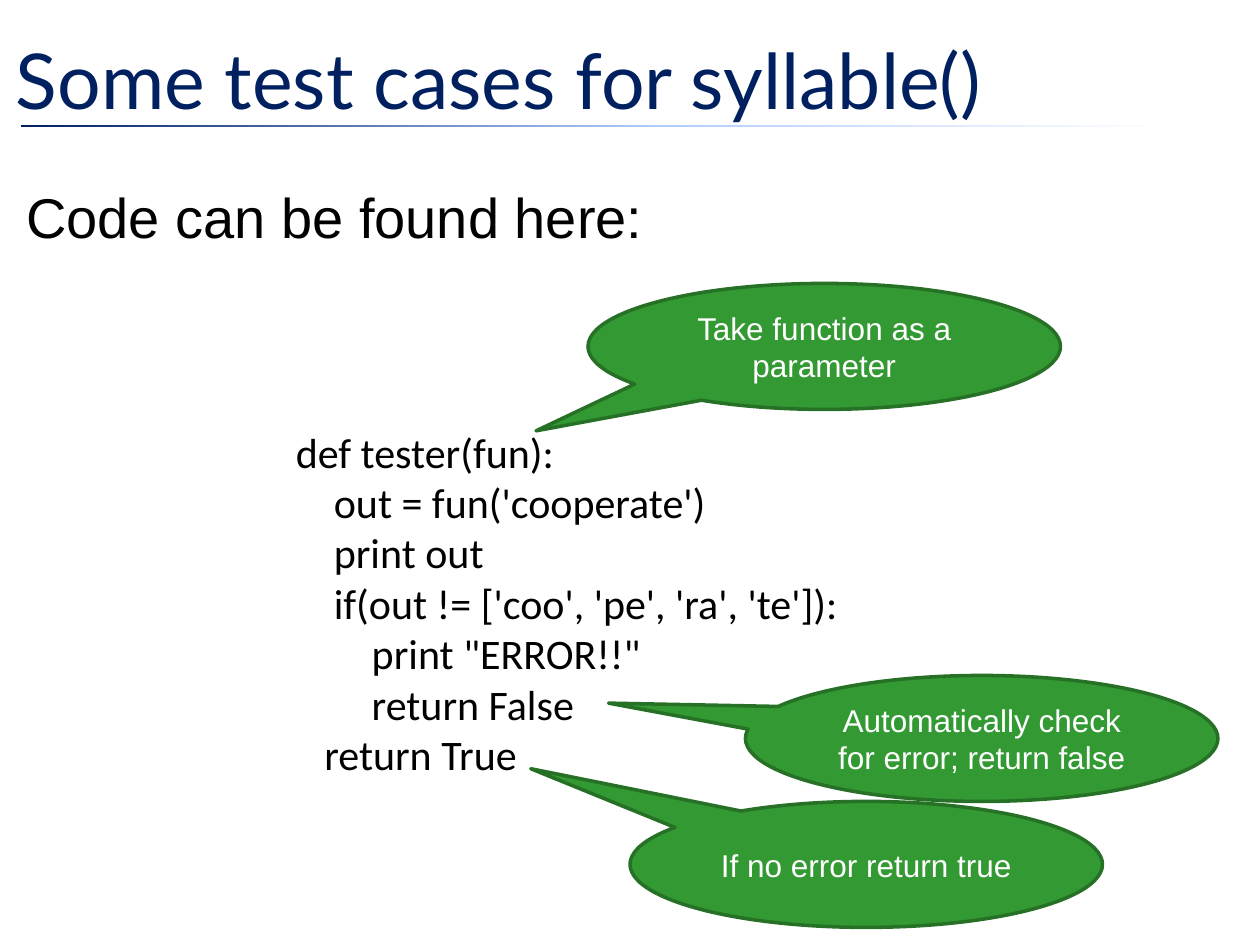
from copy import deepcopy
from dataclasses import dataclass

from pptx import Presentation
from pptx.dml.color import RGBColor as RGB
from pptx.enum.shapes import MSO_SHAPE as Form
from pptx.enum.text import MSO_ANCHOR as Anchor, PP_ALIGN as Align
from pptx.oxml.ns import qn
from pptx.util import Pt

NAVY = RGB(0x00, 0x20, 0x60)
SKY = RGB(0xB4, 0xCD, 0xFF)
WHITE = RGB(0xFF, 0xFF, 0xFF)
BLACK = RGB(0x00, 0x00, 0x00)
GREEN = RGB(0x33, 0x99, 0x33)
DARK = RGB(0x26, 0x71, 0x26)

SPACE = 5.42  # width of one code column, in points


@dataclass
class Line:
    text: str
    cols: int = 0


@dataclass
class Note:
    text: str
    left: float
    top: float
    tip: tuple[float, float]


CODE = [
    Line("def tester(fun):"),
    Line("out = fun('cooperate')", 4),
    Line("print out", 4),
    Line("if(out != ['coo', 'pe', 'ra', 'te']):", 4),
    Line('print "ERROR!!"', 8),
    Line("return False", 8),
    Line("return True", 3),
]

NOTES = [
    Note("Automatically check for error; return false", 426, 386, (-0.79, -0.28)),
    Note("If no error return true", 360, 458, (-0.71, -0.76)),
    Note("Take function as a parameter", 336, 162, (-0.61, 0.67)),
]


def write(shape, lines: list[Line], *, size: float, font: str, color: RGB,
          align=Align.LEFT, anchor=Anchor.TOP, before: float = 0) -> None:
    """Fill a shape with one paragraph per line, indented by its columns."""
    frame = shape.text_frame
    frame.word_wrap = True
    frame.vertical_anchor = anchor
    for i, line in enumerate(lines):
        para = frame.add_paragraph() if i else frame.paragraphs[0]
        para.alignment = align
        para.space_before = Pt(before)
        if line.cols:
            para._p.get_or_add_pPr().set("marL", str(Pt(line.cols * SPACE)))
        run = para.add_run()
        run.text = line.text
        run.font.size = Pt(size)
        run.font.name = font
        run.font.color.rgb = color


def add_box(slide, left: float, top: float, width: float, height: float):
    return slide.shapes.add_textbox(Pt(left), Pt(top), Pt(width), Pt(height))


def add_rule(slide) -> None:
    """Draw the thin line under the title, fading to the right."""
    rule = slide.shapes.add_shape(
        Form.RECTANGLE, Pt(12), Pt(71.3), Pt(708), Pt(1.4))
    rule.shadow.inherit = False
    rule.line.fill.background()
    fill = rule.fill
    fill.gradient()
    fill.gradient_angle = 180
    stops = rule._element.spPr.find(qn("a:gradFill")).find(qn("a:gsLst"))
    stops.append(deepcopy(stops[0]))
    shades = [(0.07, WHITE), (0.48, SKY), (1, NAVY)]
    for stop, (place, color) in zip(fill.gradient_stops, shades):
        stop.position = place
        stop.color.rgb = color


def add_note(slide, note: Note) -> None:
    shape = slide.shapes.add_shape(
        Form.OVAL_CALLOUT, Pt(note.left), Pt(note.top), Pt(270), Pt(72))
    shape.shadow.inherit = False
    shape.fill.solid()
    shape.fill.fore_color.rgb = GREEN
    shape.line.color.rgb = DARK
    shape.line.width = Pt(2)
    for i, value in enumerate(note.tip):
        shape.adjustments[i] = value
    write(shape, [Line(note.text)], size=18, font="Arial", color=WHITE,
          align=Align.CENTER, anchor=Anchor.MIDDLE)


def main() -> None:
    deck = Presentation()
    deck.slide_width, deck.slide_height = Pt(720), Pt(540)
    slide = deck.slides.add_slide(deck.slide_layouts[6])
    add_rule(slide)
    write(add_box(slide, 2, 0, 684, 90), [Line("Some test cases for syllable()")],
          size=44, font="Lato", color=NAVY, anchor=Anchor.MIDDLE)
    body = add_box(slide, 0, 101, 708, 79)
    body.text_frame.margin_left = Pt(15)
    write(body, [Line("Code can be found here:")],
          size=32, font="Arial", color=BLACK, before=4)
    write(add_box(slide, 162, 240, 360, 211), CODE,
          size=24, font="Calibri", color=BLACK)
    for note in NOTES:
        add_note(slide, note)
    deck.save("out.pptx")


if __name__ == "__main__":
    main()
